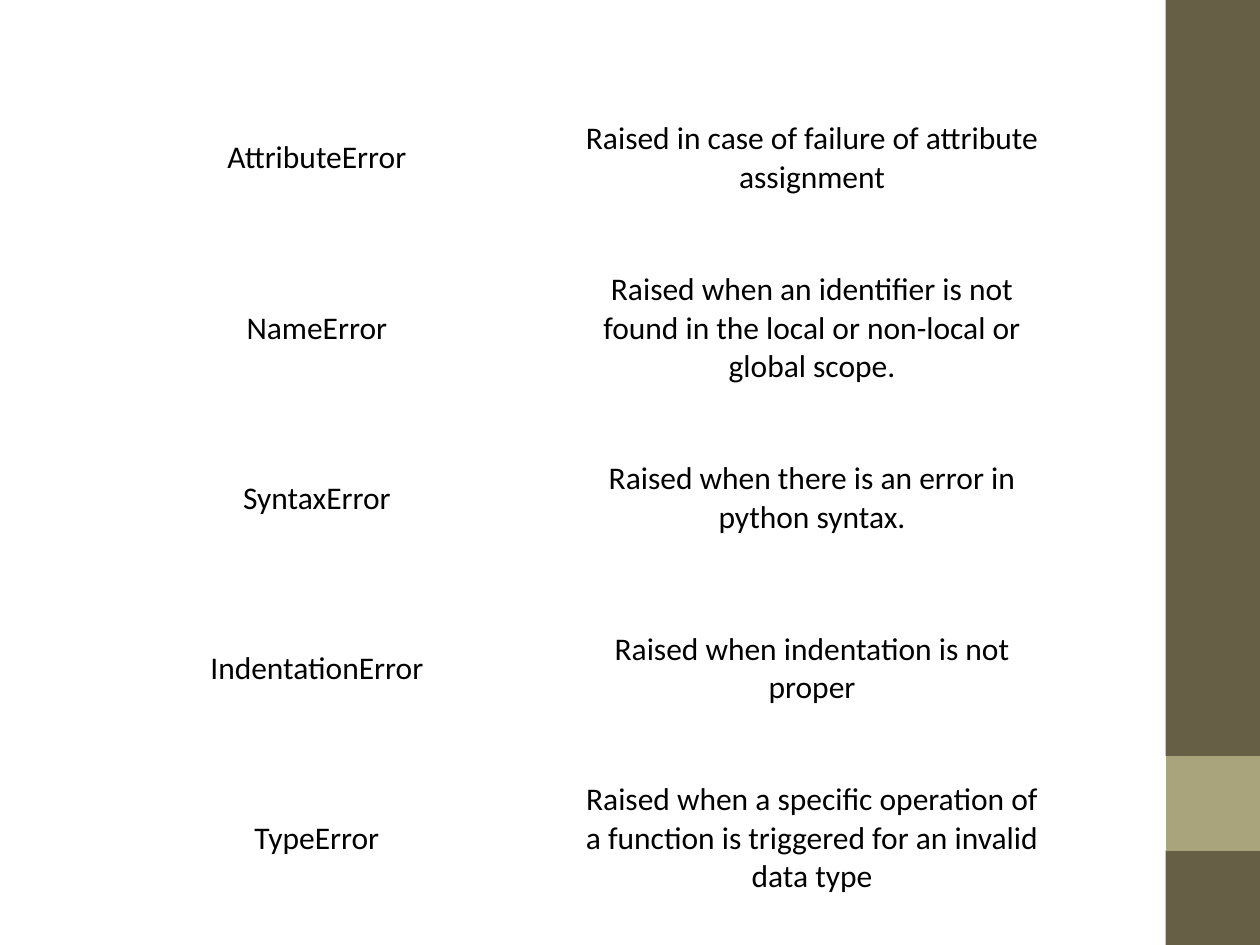
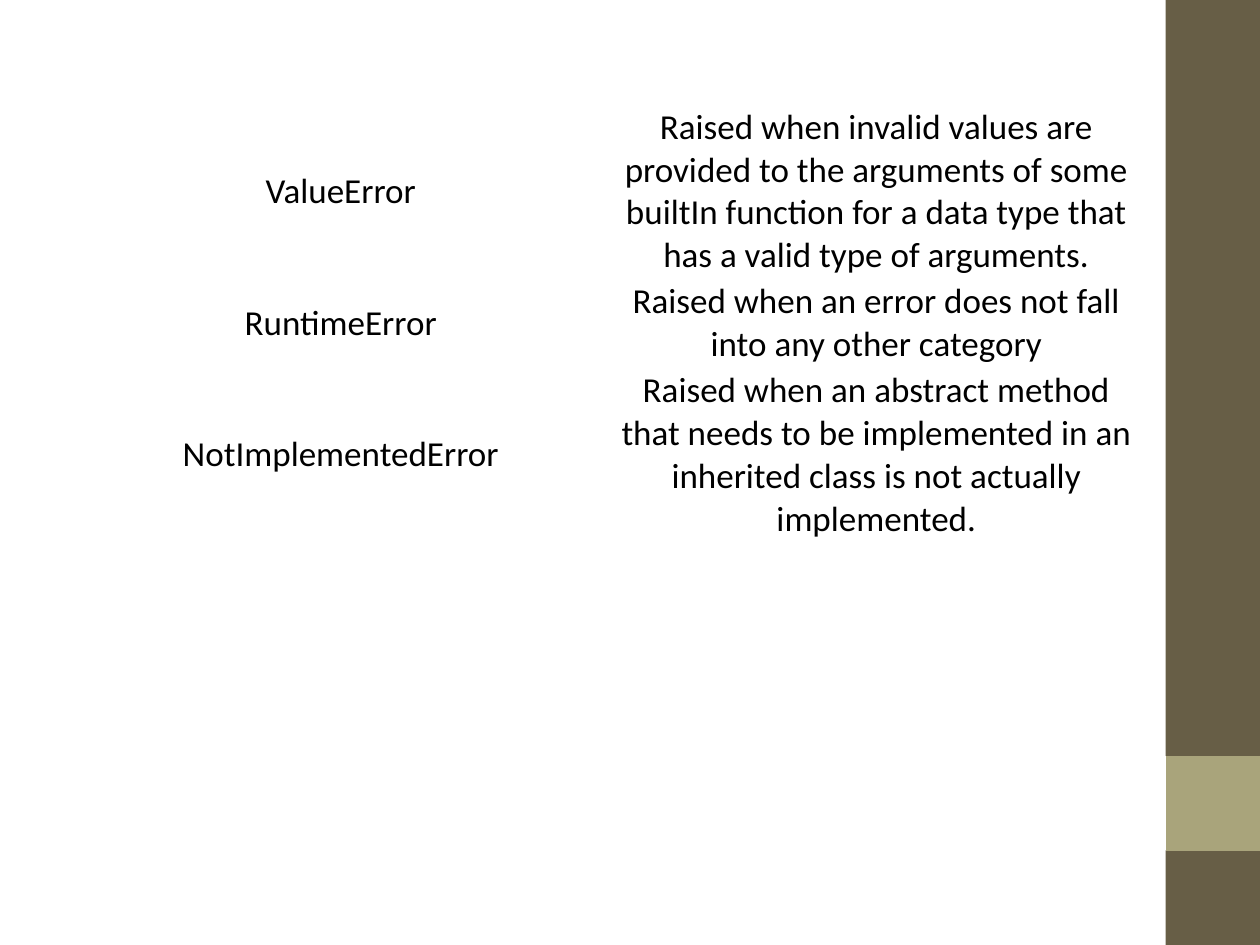
from pptx import Presentation
from pptx.dml.color import RGBColor
from pptx.enum.text import MSO_ANCHOR, PP_ALIGN
from pptx.util import Inches, Pt

CENTER = PP_ALIGN.CENTER
MIDDLE = MSO_ANCHOR.MIDDLE
BLANK_LAYOUT = 6

COLORS = {"band": "675E46", "accent": "A9A47B", "text": "000000"}
FONT = "Calibri"

SLIDE_WIDTH, SLIDE_HEIGHT = 10, 7.5
BAND_LEFT = 9.25
ACCENT_TOP, ACCENT_BOTTOM = 6, 6.75

COMMON_ERRORS = [
    ("AttributeError", "Raised in case of failure of attribute assignment"),
    ("NameError", "Raised when an identifier is not found in the local or "
                  "non-local or global scope."),
    ("SyntaxError", "Raised when there is an error in python syntax."),
    ("IndentationError", "Raised when indentation is not proper"),
    ("TypeError", "Raised when a specific operation of a function is "
                  "triggered for an invalid data type"),
]
OTHER_ERRORS = [
    ("ValueError", "Raised when invalid values are provided to the arguments "
                   "of some builtIn function for a data type that has a valid "
                   "type of arguments."),
    ("RuntimeError", "Raised when an error does not fall into any other category"),
    ("NotImplementedError", "Raised when an abstract method that needs to be "
                            "implemented in an inherited class is not actually "
                            "implemented."),
]


class Deck:
    def __init__(self):
        self.presentation = Presentation()
        self.presentation.slide_width = Inches(SLIDE_WIDTH)
        self.presentation.slide_height = Inches(SLIDE_HEIGHT)
        self.slide = None

    def add_slide(self):
        layout = self.presentation.slide_layouts[BLANK_LAYOUT]
        self.slide = self.presentation.slides.add_slide(layout)
        self.add_band("band", [(ACCENT_BOTTOM, SLIDE_HEIGHT), (0, ACCENT_TOP)])
        self.add_band("accent", [(ACCENT_TOP, ACCENT_BOTTOM)])

    def add_band(self, color, spans):
        """Draw one outline at the right edge, with a block per (top, bottom) span."""
        left, right = Inches(BAND_LEFT), Inches(SLIDE_WIDTH)
        builder = None
        for span in spans:
            top, bottom = map(Inches, span)
            if builder is None:
                builder = self.slide.shapes.build_freeform(right, top)
            else:
                builder.move_to(right, top)
            builder.add_line_segments([(left, top), (left, bottom), (right, bottom)])
        band = builder.convert_to_shape()
        band.shadow.inherit = False
        band.fill.solid()
        band.fill.fore_color.rgb = RGBColor.from_string(COLORS[color])
        band.line.fill.background()

    def add_error_table(self, errors, left, top, column_width, row_heights,
                        size, margins=(0.1, 0.05)):
        """Place a plain two-column table; margins are (side, top and bottom)."""
        table = self.slide.shapes.add_table(
            len(errors), 2, Inches(left), Inches(top),
            Inches(2 * column_width), Inches(sum(row_heights))).table
        table.first_row = False
        table.horz_banding = False
        for column in table.columns:
            column.width = Inches(column_width)
        for row, height, error in zip(table.rows, row_heights, errors):
            row.height = Inches(height)
            for cell, text in zip(row.cells, error):
                self.fill_cell(cell, text, size, margins)

    def fill_cell(self, cell, text, size, margins):
        side, edge = map(Inches, margins)
        cell.fill.background()
        cell.vertical_anchor = MIDDLE
        cell.margin_left = cell.margin_right = side
        cell.margin_top = cell.margin_bottom = edge
        cell.text = text
        paragraph = cell.text_frame.paragraphs[0]
        paragraph.alignment = CENTER
        paragraph.font.name = FONT
        paragraph.font.size = Pt(size)
        paragraph.font.color.rgb = RGBColor.from_string(COLORS["text"])


def main():
    deck = Deck()

    deck.add_slide()
    deck.add_error_table(COMMON_ERRORS, left=0.55, top=0.58, column_width=3.93,
                         row_heights=[1.35] * len(COMMON_ERRORS), size=18)

    deck.add_slide()
    deck.add_error_table(OTHER_ERRORS, left=0.58, top=0.83, column_width=4.25,
                         row_heights=[1.35, 0.71, 1.35], size=20,
                         margins=(0.03, 0.01))

    deck.presentation.save("out.pptx")


if __name__ == "__main__":
    main()
